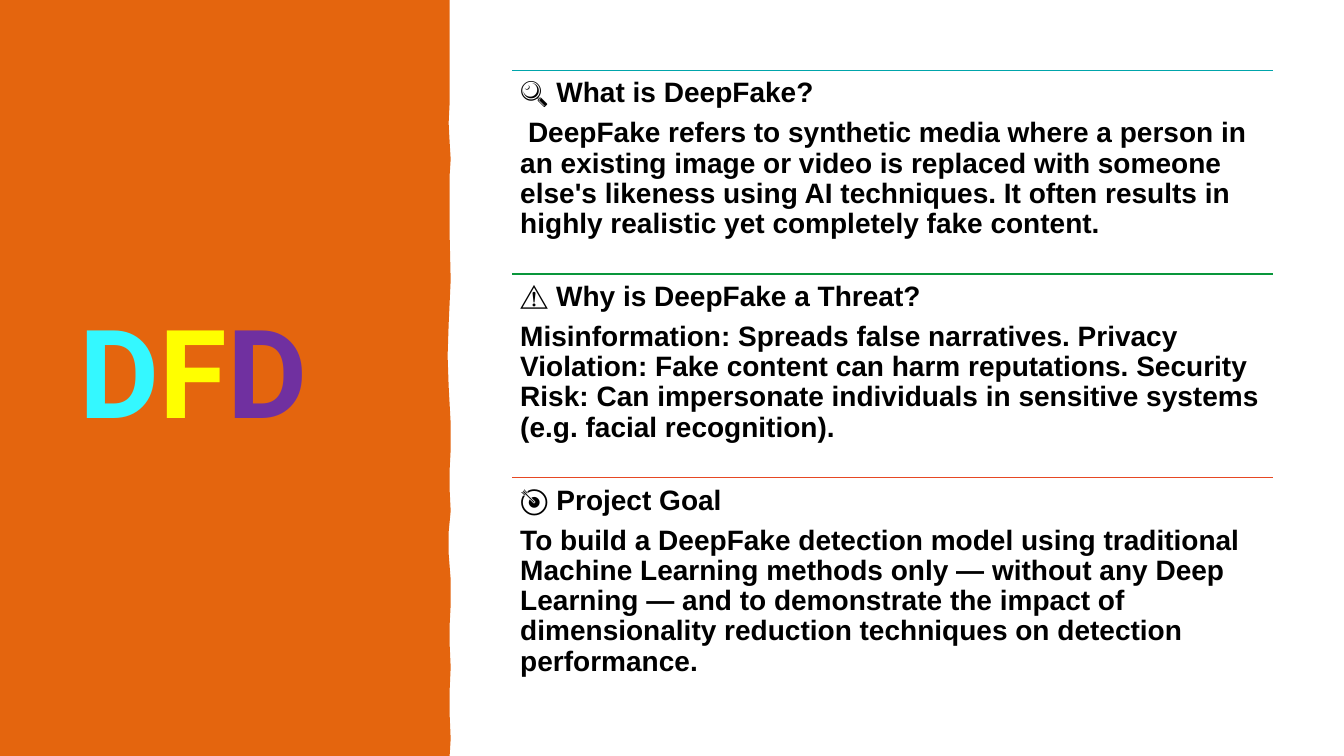
from dataclasses import dataclass

from lxml import etree
from pptx import Presentation
from pptx import util as u
from pptx.dml.color import RGBColor
from pptx.enum import shapes, text
from pptx.oxml import ns

BLACK = RGBColor(0x00, 0x00, 0x00)
ORANGE = RGBColor(0xE4, 0x65, 0x0E)
CYAN = RGBColor(0x34, 0xF8, 0xFF)
YELLOW = RGBColor(0xFF, 0xFF, 0x00)
PURPLE = RGBColor(0x70, 0x30, 0xA0)
TEAL = RGBColor(0x00, 0xA5, 0xAB)
GREEN = RGBColor(0x09, 0x96, 0x3B)
RED = RGBColor(0xE6, 0x48, 0x23)

LEFT, TOP, WIDTH, PITCH = 5.08, 0.7, 7.55, 2.02

TITLE_FONT = {"name": "Roboto", "size": u.Pt(88), "bold": True}
BODY_FONT = {"name": "Arial", "size": u.Pt(20), "bold": True}
TITLE_FRAME = {"word_wrap": True, "vertical_anchor": text.MSO_ANCHOR.MIDDLE}
BODY_FRAME = {"word_wrap": True, "vertical_anchor": text.MSO_ANCHOR.TOP,
              **{f"margin_{side}": u.Inches(0.08)
                 for side in ("left", "right", "top", "bottom")}}
BODY_SPACING = {"line_spacing": 0.9, "space_after": u.Pt(7)}

# Wavy right edge of the panel, top to bottom
EDGE = [(4.46, 0), (4.46, 0.3), (4.46, 0.63), (4.46, 1.02), (4.45, 1.22),
        (4.46, 1.41), (4.47, 1.58), (4.46, 1.74), (4.46, 2.04), (4.46, 2.33),
        (4.47, 2.78), (4.45, 3.22), (4.44, 3.53), (4.45, 3.83), (4.47, 4.2),
        (4.47, 4.46), (4.46, 4.66), (4.46, 4.86), (4.47, 5.07), (4.45, 5.28),
        (4.45, 5.49), (4.47, 5.75), (4.47, 6), (4.46, 6.2), (4.46, 6.39),
        (4.47, 6.62), (4.46, 6.85), (4.46, 7.09), (4.47, 7.33), (4.46, 7.5)]


@dataclass
class Section:
    color: RGBColor
    heading: str
    body: str


SECTIONS = [
    Section(TEAL, "🔍 What is DeepFake?",
            " DeepFake refers to synthetic media where a person in an existing "
            "image or video is replaced with someone else's likeness using AI "
            "techniques. It often results in highly realistic yet completely "
            "fake content."),
    Section(GREEN, "⚠️ Why is DeepFake a Threat?",
            "Misinformation: Spreads false narratives. Privacy Violation: Fake "
            "content can harm reputations. Security Risk: Can impersonate "
            "individuals in sensitive systems (e.g. facial recognition)."),
    Section(RED, "🎯 Project Goal",
            "To build a DeepFake detection model using traditional Machine "
            "Learning methods only — without any Deep Learning — and to "
            "demonstrate the impact of dimensionality reduction techniques on "
            "detection performance."),
]


def apply(target: object, values: dict) -> None:
    for name, value in values.items():
        setattr(target, name, value)


def add_run(p, content: str, font: dict, color: RGBColor) -> None:
    r = p.add_run()
    r.text = content
    apply(r.font, font)
    r.font.color.rgb = color


def add_frame(s, left: float, top: float, width: float, height: float,
              values: dict):
    box = s.shapes.add_textbox(*map(u.Inches, (left, top, width, height)))
    apply(box.text_frame, values)
    return box.text_frame


def add_panel(s) -> None:
    points = [(u.Inches(x), u.Inches(y)) for x, y in EDGE + [(0, 7.5)]]
    builder = s.shapes.build_freeform(0, 0)
    builder.add_line_segments(points, close=True)
    sp = builder.convert_to_shape()
    sp.shadow.inherit = False
    sp.fill.solid()
    sp.fill.fore_color.rgb = ORANGE
    sp.line.fill.background()


def add_title(s) -> None:
    tf = add_frame(s, 0.69, 0.7, 3.39, 6.11, TITLE_FRAME)
    p = tf.paragraphs[0]
    p.line_spacing = 0.9
    for letter, color in zip("DFD", (CYAN, YELLOW, PURPLE)):
        add_run(p, letter, TITLE_FONT, color)


def add_section(s, section: Section, top: float) -> None:
    # Divider
    rule = s.shapes.add_connector(
        shapes.MSO_CONNECTOR.STRAIGHT,
        *map(u.Inches, (LEFT, top, LEFT + WIDTH, top)))
    rule.line.color.rgb = section.color
    rule.line.width = u.Pt(1)
    etree.SubElement(rule._element.spPr, ns.qn("a:effectLst"))

    # Heading and body
    tf = add_frame(s, LEFT, top, WIDTH, PITCH, BODY_FRAME)
    for p, content in ((tf.paragraphs[0], section.heading),
                       (tf.add_paragraph(), section.body)):
        apply(p, BODY_SPACING)
        add_run(p, content, BODY_FONT, BLACK)


def main() -> None:
    prs = Presentation()
    prs.slide_width, prs.slide_height = u.Inches(13.33), u.Inches(7.5)
    s = prs.slides.add_slide(prs.slide_layouts[6])
    add_panel(s)
    add_title(s)
    for i, section in enumerate(SECTIONS):
        add_section(s, section, TOP + i * PITCH)
    prs.save("out.pptx")


if __name__ == "__main__":
    main()
